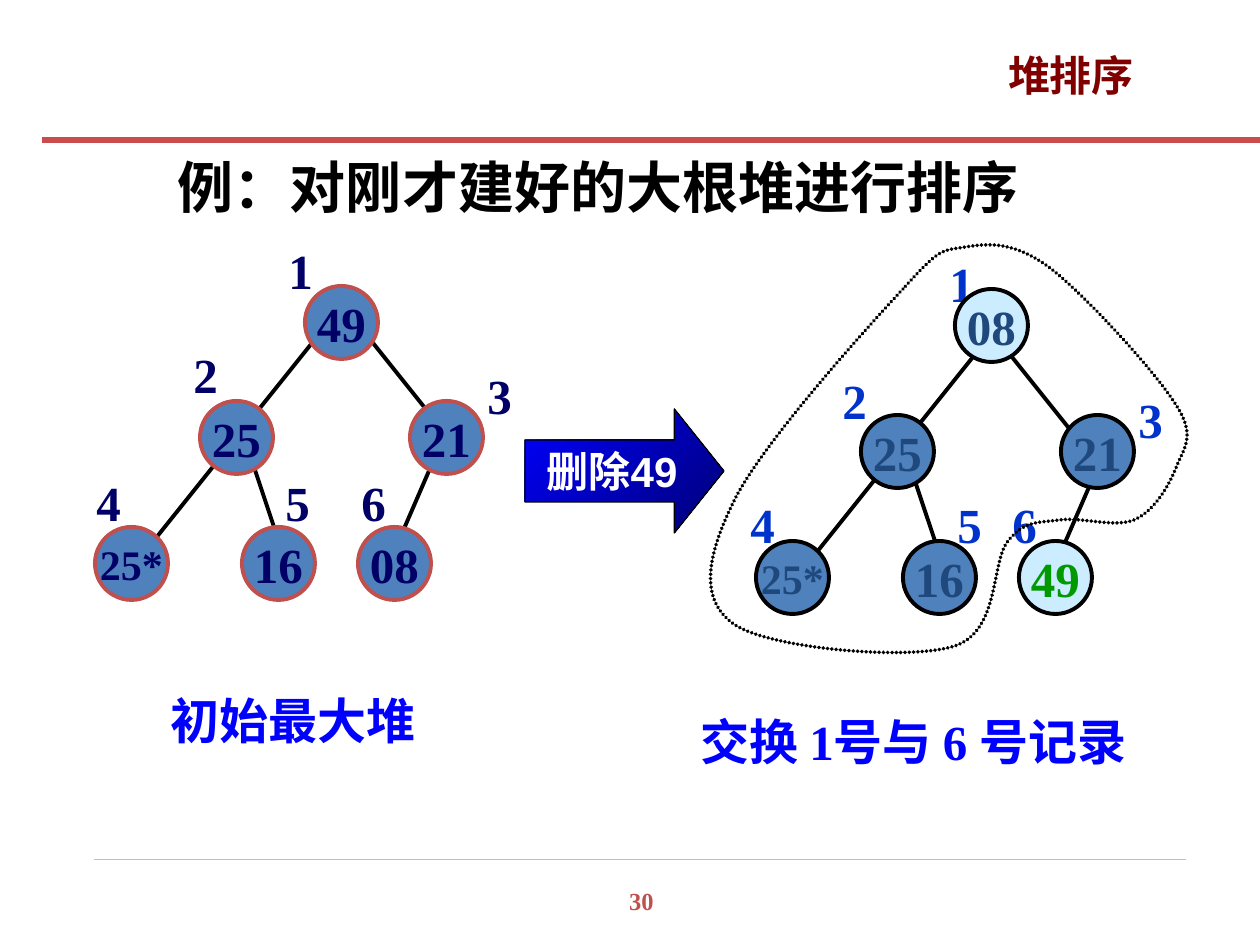
import lxml.etree
import pptx
import pptx.dml.color
import pptx.enum.shapes
import pptx.enum.text
import pptx.oxml.ns
import pptx.util

PX = 914400 // 126
NODE = 73
LABEL = (49, 72)
BLACK = pptx.dml.color.RGBColor(0x00, 0x00, 0x00)
WHITE = pptx.dml.color.RGBColor(0xFF, 0xFF, 0xFF)
RULE_RED = pptx.dml.color.RGBColor(0xC9, 0x4D, 0x4D)
ACCENT_RED = pptx.dml.color.RGBColor(0xC0, 0x50, 0x4D)
DARK_RED = pptx.dml.color.RGBColor(0x80, 0x00, 0x00)
RULE_GREY = pptx.dml.color.RGBColor(0xBF, 0xBF, 0xBF)
BLUE = pptx.dml.color.RGBColor(0x00, 0x00, 0xFF)
DEEP_BLUE = pptx.dml.color.RGBColor(0x00, 0x00, 0x76)
NAVY = pptx.dml.color.RGBColor(0x00, 0x00, 0x66)
LABEL_BLUE = pptx.dml.color.RGBColor(0x00, 0x33, 0xCC)
TEXT_BLUE = pptx.dml.color.RGBColor(0x1F, 0x49, 0x7D)
NODE_BLUE = pptx.dml.color.RGBColor(0x4F, 0x81, 0xBD)
PALE_BLUE = pptx.dml.color.RGBColor(0xCC, 0xEC, 0xFF)
GREEN = pptx.dml.color.RGBColor(0x00, 0x99, 0x00)
SERIF = "Times New Roman"
CHINESE = "Noto Sans CJK SC"
LEFT = pptx.enum.text.PP_ALIGN.LEFT
CENTER = pptx.enum.text.PP_ALIGN.CENTER


def scale(*lengths):
    return [length * PX for length in lengths]


def add_element(parent, tag, **attributes):
    return lxml.etree.SubElement(parent, pptx.oxml.ns.qn(tag), **attributes)


def write(shape, text, size, color, font=SERIF, align=CENTER, wrap=True, middle=True):
    frame = shape.text_frame
    frame.word_wrap = wrap
    anchor = pptx.enum.text.MSO_ANCHOR
    frame.vertical_anchor = anchor.MIDDLE if middle else anchor.TOP
    paragraph = frame.paragraphs[0]
    paragraph.text = text
    paragraph.alignment = align
    paragraph.font.size = pptx.util.Pt(size)
    paragraph.font.bold = True
    paragraph.font.color.rgb = color
    paragraph.font.name = font
    properties = paragraph._p.pPr.find(pptx.oxml.ns.qn("a:defRPr"))
    add_element(properties, "a:ea", typeface=CHINESE)


def add_text(slide, box, text, size, color, **style):
    write(slide.shapes.add_textbox(*scale(*box)), text, size, color, **style)


def add_line(slide, start, end, color, width):
    straight = pptx.enum.shapes.MSO_CONNECTOR.STRAIGHT
    line = slide.shapes.add_connector(straight, *scale(*start, *end))
    line.line.color.rgb = color
    line.line.width = pptx.util.Pt(width)
    add_element(line._element.spPr, "a:effectLst")


def add_node(slide, left, top, text, fill, outline, color):
    oval = pptx.enum.shapes.MSO_SHAPE.OVAL
    node = slide.shapes.add_shape(oval, *scale(left, top, NODE, NODE))
    node.shadow.inherit = False
    node.fill.solid()
    node.fill.fore_color.rgb = fill
    node.line.color.rgb = outline
    node.line.width = pptx.util.Pt(2.25)
    write(node, text, 24 if len(text) > 2 else 28, color, wrap=False)


def add_heap(slide, box, root, right_child, right_edge, labels, label_color, nodes, outline):
    left, top = box
    edges = [
        ((337, 178), (305, 252)),
        ((158, 178), (179, 241)),
        ((right_edge, 52), (right_edge + 84, 157)),
        ((221, 52), (53, 262)),
    ]
    for (x1, y1), (x2, y2) in edges:
        add_line(slide, (left + x1, top + y1), (left + x2, top + y2), BLACK, 2.25)
    for number, (x, y) in enumerate(labels, 1):
        add_text(slide, (left + x, top + y, *LABEL), str(number), 28, label_color,
                 align=LEFT, middle=False)
    places = [root, (105, 115), (right_child, 115), (0, 241), (147, 241), (263, 241)]
    for (x, y), (text, fill, color) in zip(places, nodes):
        add_node(slide, left + x, top + y, text, fill, outline, color)


def curve_segments(shape):
    line_tag = pptx.oxml.ns.qn("a:lnTo")
    segments = list(shape._element.iter(line_tag))
    for first, second, third in zip(*[iter(segments)] * 3):
        first.tag = pptx.oxml.ns.qn("a:cubicBezTo")
        for segment in (second, third):
            first.append(segment[0])
            segment.getparent().remove(segment)


def add_boundary(slide, box):
    left, top = box
    start = (205, 47)
    controls = [
        (166, 89), (66, 200), (37, 257),
        (9, 313), (0, 358), (37, 383),
        (74, 407), (212, 419), (257, 404),
        (302, 389), (293, 320), (310, 299),
        (327, 278), (341, 281), (362, 278),
        (383, 275), (417, 286), (436, 278),
        (455, 270), (470, 246), (478, 226),
        (485, 207), (499, 195), (478, 163),
        (457, 129), (386, 52), (352, 26),
        (317, 0), (292, 1), (268, 5),
        (243, 9), (243, 5), start,
    ]
    builder = slide.shapes.build_freeform(left + start[0], top + start[1], scale=PX)
    builder.add_line_segments([(left + x, top + y) for x, y in controls], close=True)
    boundary = builder.convert_to_shape()
    curve_segments(boundary)
    boundary.shadow.inherit = False
    boundary.fill.background()
    boundary.line.color.rgb = BLACK
    boundary.line.width = pptx.util.Pt(2.25)
    outline = boundary.line._get_or_add_ln()
    outline.set("cap", "rnd")
    dashes = add_element(outline, "a:custDash")
    add_element(dashes, "a:ds", d="100000", sp="10000")


def add_delete_arrow(slide, box):
    right_arrow = pptx.enum.shapes.MSO_SHAPE.RIGHT_ARROW
    arrow = slide.shapes.add_shape(right_arrow, *scale(*box))
    arrow.shadow.inherit = False
    arrow.adjustments[0] = 0.5
    arrow.adjustments[1] = 0.4
    arrow.fill.gradient()
    arrow.fill.gradient_angle = 315
    for stop, color in zip(arrow.fill.gradient_stops, (BLUE, DEEP_BLUE)):
        stop.color.rgb = color
    arrow.line.color.rgb = BLACK
    arrow.line.width = pptx.util.Pt(0.75)
    write(arrow, "删除49", 24, WHITE, font="Arial", wrap=False)


def add_frame(slide):
    add_line(slide, (94, 859), (1186, 859), RULE_GREY, 0.25)
    add_text(slide, (610, 880, 63, 43), "30", 14, ACCENT_RED, middle=False)
    add_line(slide, (42, 140), (1260, 140), RULE_RED, 3.5)
    add_text(slide, (0, 125, 1197, 122), "例：对刚才建好的大根堆进行排序", 32, BLACK,
             font="Calibri")
    add_text(slide, (916, 43, 310, 73), "堆排序", 24, DARK_RED, font=CHINESE, wrap=False,
             middle=False)


def main():
    presentation = pptx.Presentation()
    presentation.slide_width, presentation.slide_height = scale(1260, 945)
    slide = presentation.slides.add_slide(presentation.slide_layouts[6])
    add_frame(slide)
    add_delete_arrow(slide, (525, 409, 199, 124))

    initial = [(text, NODE_BLUE, NAVY) for text in ("49", "25", "21", "25*", "16", "08")]
    add_heap(slide, (95, 286), (210, 0), 315, 274,
             [(181, -52), (86, 52), (380, 73), (-11, 180), (178, 180), (254, 180)],
             NAVY, initial, ACCENT_RED)
    unchanged = [(text, NODE_BLUE, TEXT_BLUE) for text in ("25", "21", "25*", "16")]
    swapped = [("08", PALE_BLUE, TEXT_BLUE), *unchanged, ("49", PALE_BLUE, GREEN)]
    add_heap(slide, (756, 300), (199, -11), 305, 252,
             [(181, -53), (74, 64), (370, 83), (-18, 188), (189, 188), (244, 188)],
             LABEL_BLUE, swapped, BLACK)
    add_boundary(slide, (698, 242))

    add_text(slide, (158, 684, 270, 72), "初始最大堆", 28, BLUE, align=LEFT, middle=False)
    add_text(slide, (688, 705, 529, 72), "交换 1号与 6 号记录", 28, BLUE, align=LEFT,
             middle=False)
    presentation.save("out.pptx")


if __name__ == "__main__":
    main()
